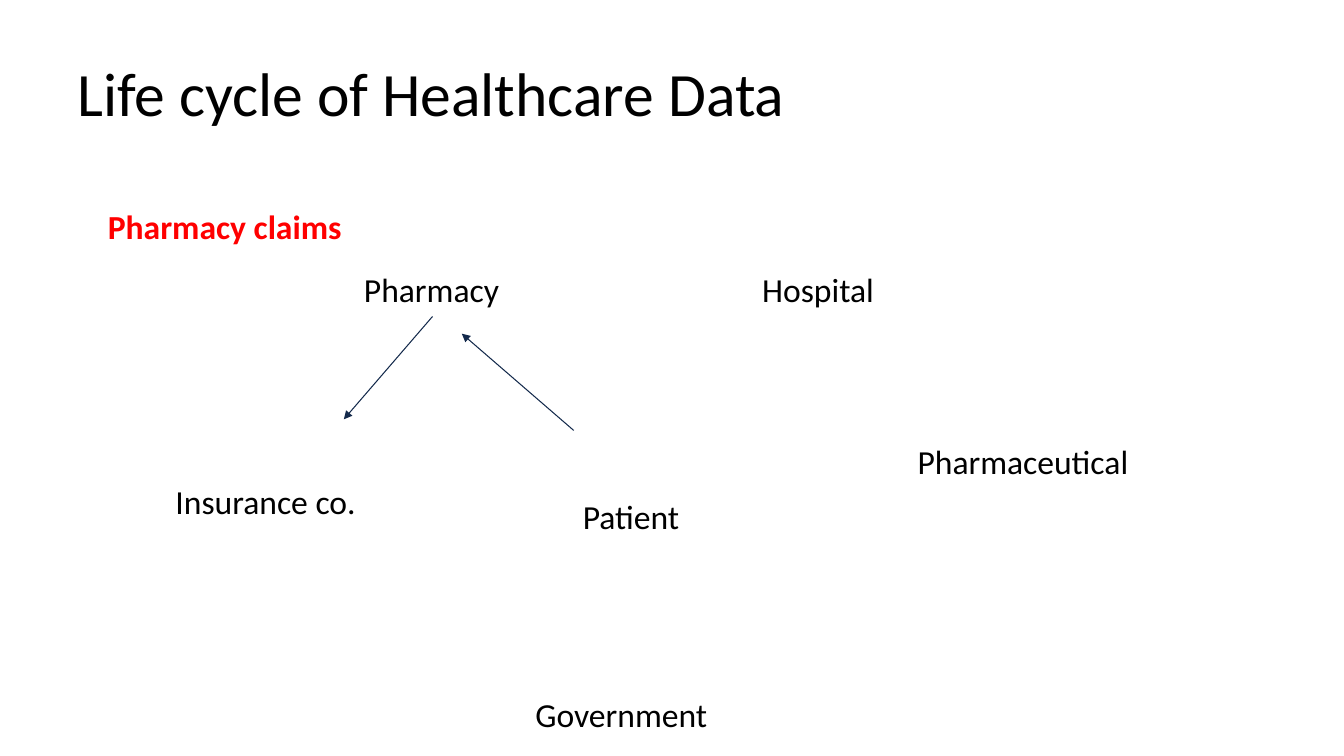
from dataclasses import dataclass

from lxml.etree import SubElement
from pptx import Presentation
from pptx.dml.color import RGBColor
from pptx.enum.shapes import MSO_CONNECTOR as Connector
from pptx.enum.text import MSO_ANCHOR as Anchor, MSO_AUTO_SIZE as AutoSize, PP_ALIGN as Align
from pptx.oxml.ns import qn
from pptx.util import Inches, Pt


@dataclass(frozen=True)
class Theme:
    font: str = "Calibri"
    text: RGBColor = RGBColor(0x00, 0x00, 0x00)
    highlight: RGBColor = RGBColor(0xFF, 0x00, 0x00)
    arrow: RGBColor = RGBColor(0x13, 0x29, 0x4B)
    title_size: int = 44
    label_size: int = 24
    arrow_width: float = 0.75


class DiagramSlide:
    LABEL_HEIGHT = 0.43
    TITLE_ONLY = 5

    def __init__(self, deck, theme):
        self.theme = theme
        self.slide = deck.slides.add_slide(deck.slide_layouts[self.TITLE_ONLY])

    def set_wording(self, shape, text, size, color, bold=False):
        """Fill a shape with one left-aligned line starting at its corner."""
        frame = shape.text_frame
        frame.text = text
        frame.auto_size = AutoSize.NONE
        frame.word_wrap = False
        frame.vertical_anchor = Anchor.TOP
        frame.margin_left = Inches(0.01)
        frame.margin_right = frame.margin_bottom = 0
        frame.margin_top = Inches(0.02)
        line = frame.paragraphs[0]
        line.alignment = Align.LEFT
        font = line.runs[0].font
        font.name = self.theme.font
        font.size = Pt(size)
        font.bold = bold
        font.color.rgb = color

    def title(self, text, left, top, width, height):
        heading = self.slide.shapes.title
        heading.left, heading.top = Inches(left), Inches(top)
        heading.width, heading.height = Inches(width), Inches(height)
        self.set_wording(heading, text, self.theme.title_size, self.theme.text)

    def label(self, text, left, top, width, color=None, bold=False):
        box = self.slide.shapes.add_textbox(
            Inches(left), Inches(top), Inches(width), Inches(self.LABEL_HEIGHT))
        self.set_wording(box, text, self.theme.label_size, color or self.theme.text, bold)

    def arrow(self, start, end):
        flow = self.slide.shapes.add_connector(
            Connector.STRAIGHT, *(Inches(value) for value in (*start, *end)))
        flow.line.color.rgb = self.theme.arrow
        flow.line.width = Pt(self.theme.arrow_width)
        properties = flow._element.spPr
        SubElement(properties.find(qn("a:ln")), qn("a:tailEnd"), type="triangle")
        SubElement(properties, qn("a:effectLst"))


def main():
    deck = Presentation()
    deck.slide_width, deck.slide_height = Inches(13.33), Inches(7.5)
    theme = Theme()
    life_cycle = DiagramSlide(deck, theme)

    life_cycle.title("Life cycle of Healthcare Data", 0.76, 0.52, 8.78, 0.76)
    life_cycle.label("Pharmacy claims", 1.06, 2.02, 2.35, theme.highlight, bold=True)

    parties = [
        ("Pharmacy", 3.6, 2.65, 1.37),
        ("Hospital", 7.55, 2.65, 1.14),
        ("Insurance co.", 1.73, 4.75, 1.82),
        ("Patient", 5.77, 4.9, 0.99),
        ("Pharmaceutical", 9.09, 4.35, 2.12),
        ("Government", 5.3, 6.86, 1.73),
    ]
    for party in parties:
        life_cycle.label(*party)

    patient_to_pharmacy = (5.69, 4.27), (4.58, 3.31)
    pharmacy_to_insurer = (4.29, 3.14), (3.41, 4.16)
    for start, end in (patient_to_pharmacy, pharmacy_to_insurer):
        life_cycle.arrow(start, end)

    deck.save("out.pptx")


if __name__ == "__main__":
    main()
